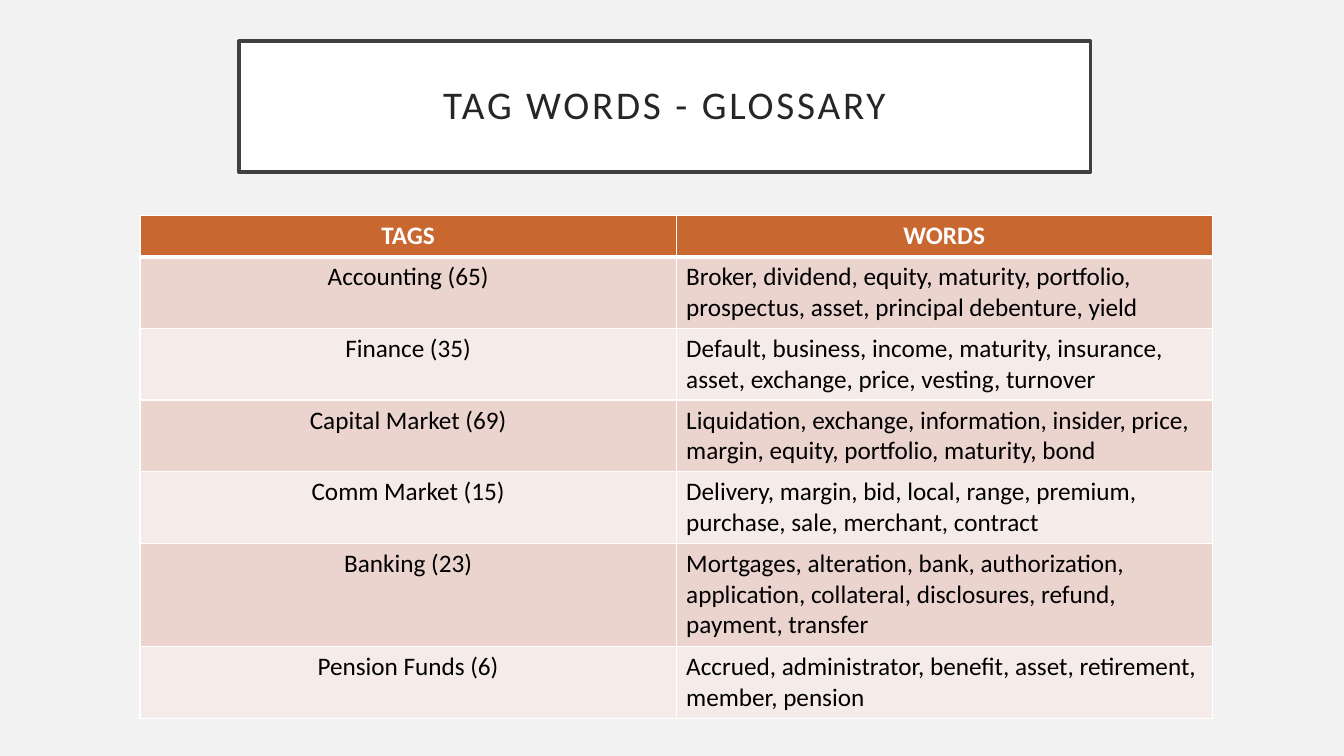
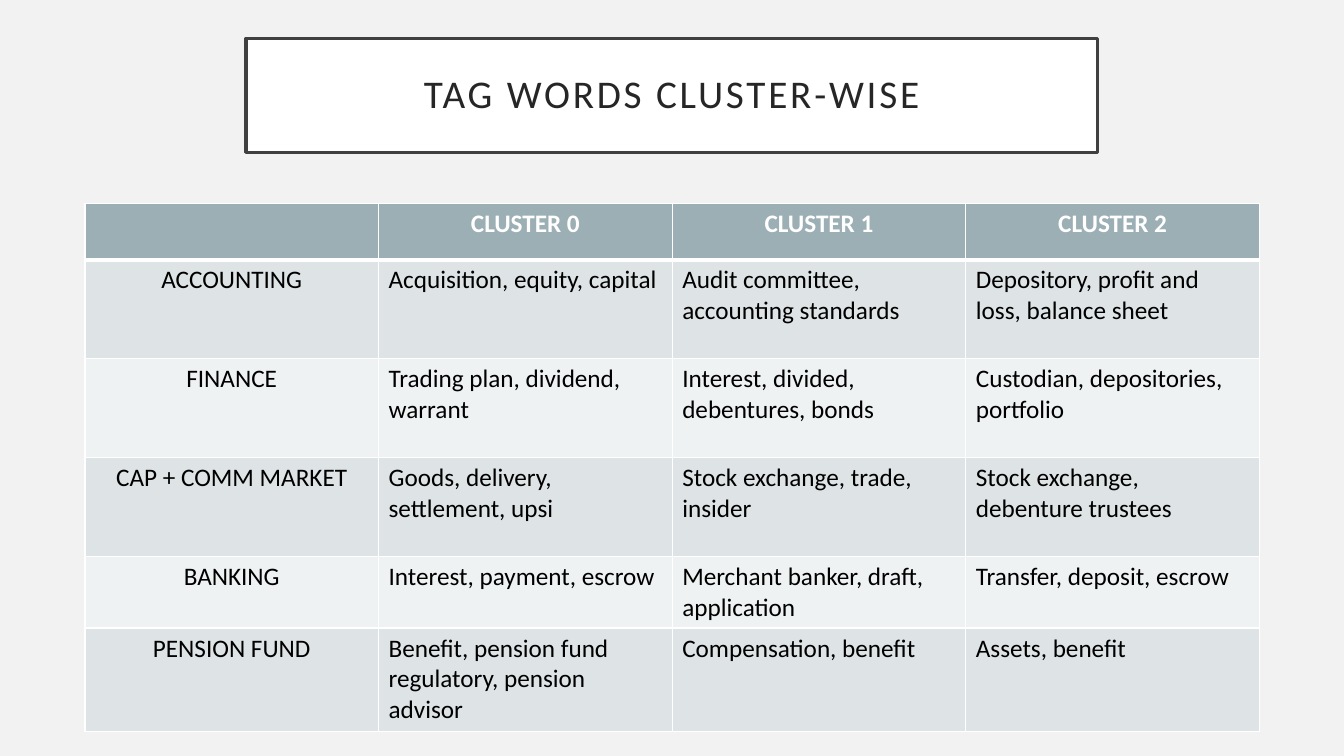
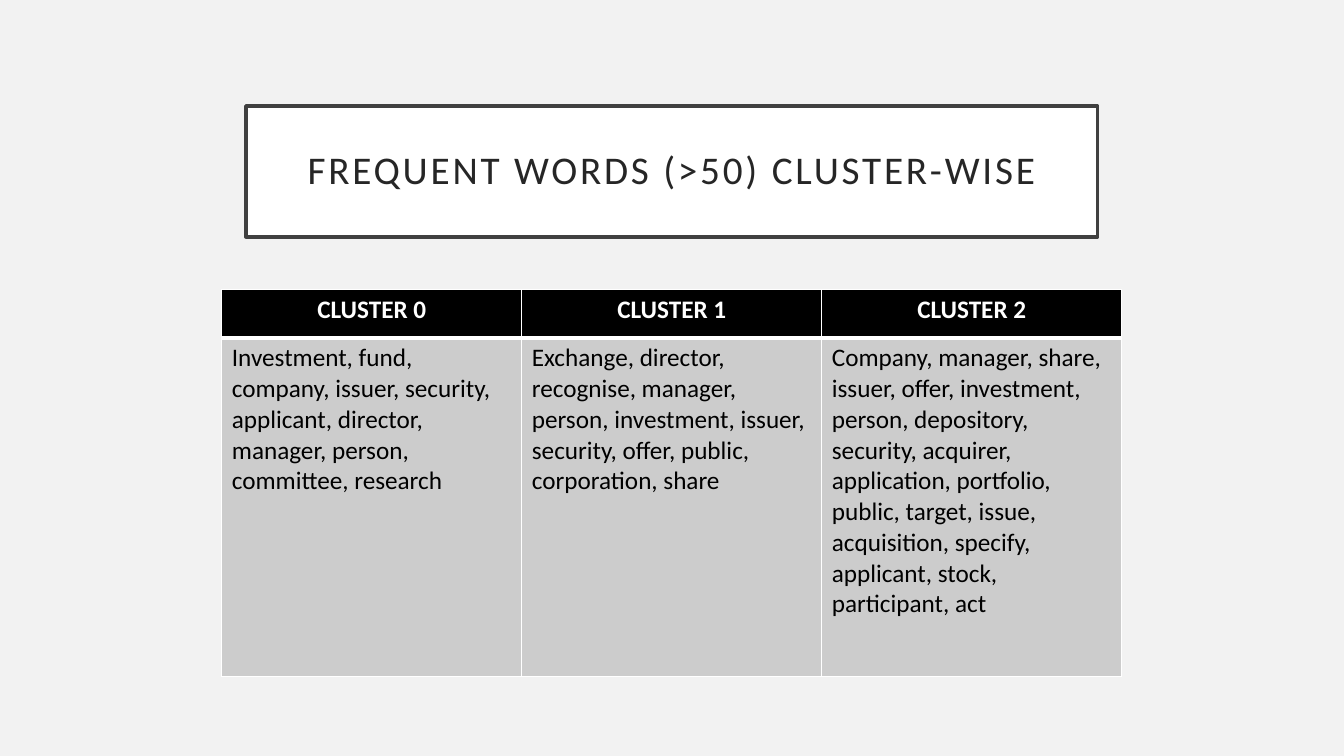
from lxml import etree
from pptx import Presentation
from pptx.dml.color import RGBColor
from pptx.enum import shapes, text
from pptx.oxml.ns import qn
from pptx.util import Cm, Pt

# Colours and text formats shared by the slides
PAPER = RGBColor(0xF2, 0xF2, 0xF2)
WHITE = RGBColor(0xFF, 0xFF, 0xFF)
BLACK = RGBColor(0x00, 0x00, 0x00)
FRAME = RGBColor(0x40, 0x40, 0x40)
TITLE_INK = RGBColor(0x26, 0x26, 0x26)
RUST, ROSE, BLUSH = (RGBColor.from_string(c) for c in ("C96731", "EBD3CE", "F5EBE8"))
SLATE, MIST, HAZE = (RGBColor.from_string(c) for c in ("9BAFB5", "DEE3E5", "EFF2F3"))
SILVER = RGBColor(0xCC, 0xCC, 0xCC)

TITLE_FONT = {"name": "Calibri", "size": Pt(28)}
HEADER_FONT = {"name": "Calibri", "size": Pt(18), "bold": True}
BODY_FONT = HEADER_FONT | {"bold": False}
TITLE_WIDTH = 21.46
TITLE_PADDING = Cm(0.51)
GRID_LINE, HEADER_LINE = Pt(1), Pt(3)

# Content: lengths in cm; bands are the header fill and the alternating row fills
SLIDES = [
    {
        "title": "TAG WORDS - GLOSSARY",
        "title_box": (6.02, 1.04, 3.3),
        "table_box": (3.53, 5.44, 27.02),
        "row_heights": [1.03, 1.8, 1.8, 1.8, 1.8, 2.6, 1.8],
        "bands": (RUST, ROSE, BLUSH),
        "label_column": True,
        "rows": [
            ("TAGS", "WORDS"),
            ("Accounting (65)", "Broker, dividend, equity, maturity, portfolio, "
             "prospectus, asset, principal debenture, yield"),
            ("Finance (35)", "Default, business, income, maturity, insurance, "
             "asset, exchange, price, vesting, turnover"),
            ("Capital Market (69)", "Liquidation, exchange, information, insider, price, "
             "margin, equity, portfolio, maturity, bond"),
            ("Comm Market (15)", "Delivery, margin, bid, local, range, premium, "
             "purchase, sale, merchant, contract"),
            ("Banking (23)", "Mortgages, alteration, bank, authorization, "
             "application, collateral, disclosures, refund, payment, transfer"),
            ("Pension Funds (6)", "Accrued, administrator, benefit, asset, retirement, "
             "member, pension"),
        ],
    },
    {
        "title": "TAG WORDS CLUSTER-WISE",
        "title_box": (6.2, 0.97, 2.87),
        "table_box": (2.14, 5.13, 29.6),
        "row_heights": [1.42, 2.49, 2.49, 2.49, 1.8, 2.6],
        "bands": (SLATE, MIST, HAZE),
        "label_column": True,
        "rows": [
            ("", "CLUSTER 0", "CLUSTER 1", "CLUSTER 2"),
            ("ACCOUNTING", "Acquisition, equity, capital",
             "Audit committee, accounting standards",
             "Depository, profit and loss, balance sheet"),
            ("FINANCE", "Trading plan, dividend, warrant",
             "Interest, divided, debentures, bonds",
             "Custodian, depositories, portfolio"),
            ("CAP + COMM MARKET", "Goods, delivery, settlement, upsi",
             "Stock exchange, trade, insider",
             "Stock exchange, debenture trustees"),
            ("BANKING", "Interest, payment, escrow",
             "Merchant banker, draft, application",
             "Transfer, deposit, escrow"),
            ("PENSION FUND", "Benefit, pension fund regulatory, pension advisor",
             "Compensation, benefit", "Assets, benefit"),
        ],
    },
    {
        "title": "FREQUENT WORDS (>50) CLUSTER-WISE",
        "title_box": (6.2, 2.67, 3.3),
        "table_box": (5.59, 7.29, 22.68),
        "row_heights": [1.22, 8.53],
        "bands": (BLACK, SILVER, SILVER),
        "label_column": False,
        "rows": [
            ("CLUSTER 0", "CLUSTER 1", "CLUSTER 2"),
            ("Investment, fund, company, issuer, security, applicant, director, "
             "manager, person, committee, research",
             "Exchange, director, recognise, manager, person, investment, issuer, "
             "security, offer, public, corporation, share",
             "Company, manager, share, issuer, offer, investment, person, depository, "
             "security, acquirer, application, portfolio, public, target, issue, "
             "acquisition, specify, applicant, stock, participant, act"),
        ],
    },
]


def write(paragraph, words, font, ink, centred):
    paragraph.alignment = text.PP_ALIGN.CENTER if centred else text.PP_ALIGN.LEFT
    run = paragraph.add_run()
    run.text = words
    for key, value in font.items():
        setattr(run.font, key, value)
    run.font.color.rgb = ink
    return run


def add_title(slide, title, left, top, height):
    box = slide.shapes.add_shape(shapes.MSO_SHAPE.RECTANGLE, Cm(left), Cm(top),
                                 Cm(TITLE_WIDTH), Cm(height))
    box.shadow.inherit = False
    box.fill.solid()
    box.fill.fore_color.rgb = WHITE
    box.line.color.rgb = FRAME
    box.line.width = Pt(2.5)
    frame = box.text_frame
    frame.word_wrap = True
    frame.vertical_anchor = text.MSO_ANCHOR.MIDDLE
    for side in ("left", "top", "right", "bottom"):
        setattr(frame, f"margin_{side}", TITLE_PADDING)
    heading = frame.paragraphs[0]
    heading.line_spacing = 0.9
    run = write(heading, title, TITLE_FONT, TITLE_INK, True)
    run._r.get_or_add_rPr().set("spc", "200")


def add_borders(cell, row):
    """White grid, with a heavier rule between the header and the first row."""
    widths = {"L": GRID_LINE, "R": GRID_LINE,
              "T": HEADER_LINE if row == 1 else GRID_LINE,
              "B": HEADER_LINE if row == 0 else GRID_LINE}
    properties = cell._tc.get_or_add_tcPr()
    for side, width in widths.items():
        line = etree.SubElement(properties, qn(f"a:ln{side}"), w=str(int(width)))
        fill = etree.SubElement(line, qn("a:solidFill"))
        etree.SubElement(fill, qn("a:srgbClr"), val=str(WHITE))


def add_word_table(slide, rows, box, row_heights, bands, label_column):
    left, top, width = box
    table = slide.shapes.add_table(len(rows), len(rows[0]), Cm(left), Cm(top),
                                   Cm(width), Cm(sum(row_heights))).table
    table.horz_banding = False
    for row, height in zip(table.rows, row_heights):
        row.height = Cm(height)
    for r, entries in enumerate(rows):
        header = r == 0
        band = bands[0] if header else bands[1 + (r - 1) % 2]
        for c, words in enumerate(entries):
            cell = table.cell(r, c)
            add_borders(cell, r)
            cell.fill.solid()
            cell.fill.fore_color.rgb = band
            if words:
                write(cell.text_frame.paragraphs[0], words,
                      HEADER_FONT if header else BODY_FONT,
                      WHITE if header else BLACK,
                      header or (label_column and c == 0))


def main():
    deck = Presentation()
    deck.slide_width, deck.slide_height = Cm(33.87), Cm(19.05)
    background = deck.slide_master.background.fill
    background.solid()
    background.fore_color.rgb = PAPER
    for content in SLIDES:
        slide = deck.slides.add_slide(deck.slide_layouts[6])
        add_title(slide, content["title"], *content["title_box"])
        add_word_table(slide, content["rows"], content["table_box"],
                       content["row_heights"], content["bands"],
                       content["label_column"])
    deck.save("out.pptx")


if __name__ == "__main__":
    main()
